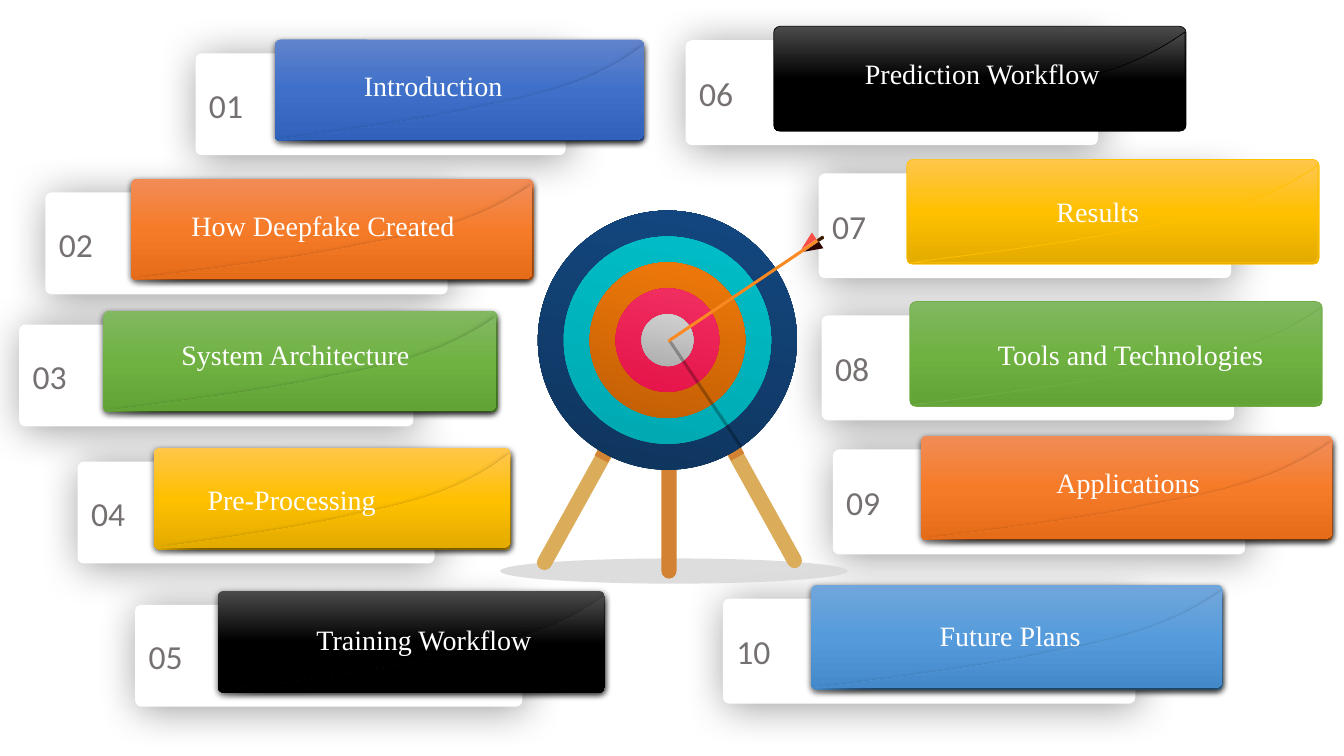
from lxml import etree
from pptx import Presentation
from pptx import util as u
from pptx.dml.color import RGBColor
from pptx.enum import shapes, text
from pptx.oxml.ns import qn

WHITE = RGBColor(0xFF, 0xFF, 0xFF)
BLACK = RGBColor(0x00, 0x00, 0x00)
GREY = RGBColor(0x76, 0x71, 0x71)
FLOOR = RGBColor(0xD9, 0xD9, 0xD9)
WOOD = RGBColor(0xDB, 0xAD, 0x5B)
DARK_WOOD = RGBColor(0xD2, 0x82, 0x32)
ARROW = RGBColor(0xFB, 0x89, 0x22)
RED_FEATHER = RGBColor(0xF8, 0x4E, 0x43)
DARK_FEATHER = RGBColor(0x2C, 0x05, 0x02)
NOCK = RGBColor(0x3D, 0x1E, 0x01)
GOLD_LINE = RGBColor(0xFF, 0xC0, 0x00)
GREEN_LINE = RGBColor(0x70, 0xAD, 0x47)


def shades(*codes):
    return [RGBColor.from_string(code) for code in codes]


BLUE = shades("6183CB", "3E70CA", "3062BB")
ORANGE = shades("F18C57", "F67B28", "E56C19")
GREEN = shades("81B861", "6FB242", "62A336")
GOLD = shades("FFC64B", "FFC000", "E3AB00")
INK = shades("4B4B4B", "000000", "000000")
SKY = shades("71A6DB", "559BDB", "448ACA")

# label, label box (left, top, width), card (left, top, width, height), colours, outline
TOPICS = [
    ("Introduction", (3.51, 0.63, 2.78), (1.94, 0.53, 3.67, 1.01), BLUE, None),
    ("How Deepfake Created", (1.8, 2.02, 3.28), (0.45, 1.91, 3.99, 1.01), ORANGE, None),
    ("System Architecture", (1.7, 3.3, 2.96), (0.19, 3.22, 3.91, 1.01), GREEN, None),
    ("Pre-Processing", (1.96, 4.74, 3.79), (0.77, 4.58, 3.54, 1.01), GOLD, None),
    ("Training Workflow", (3.04, 6.13, 3.36), (1.34, 6.0, 3.84, 1.01), INK, None),
    ("Prediction Workflow", (8.48, 0.51, 3.8), (6.8, 0.4, 4.09, 1.04), INK, BLACK),
    ("Results", (10.38, 1.88, 3.82), (8.12, 1.72, 4.09, 1.04), GOLD, GOLD_LINE),
    ("Tools and Technologies", (9.8, 3.3, 4.2), (8.15, 3.13, 4.09, 1.04), GREEN, GREEN_LINE),
    ("Applications", (10.38, 4.57, 3.1), (8.26, 4.46, 4.09, 1.04), ORANGE, None),
    ("Future Plans", (9.22, 6.09, 3.1), (7.17, 5.94, 4.09, 1.04), SKY, None),
]
LOOSE_LABELS = ("Pre-Processing", "Tools and Technologies")
RINGS = [shades("0D3055", "154C89"), shades("00A4AC", "00C2CC"), shades("B85A04", "FA7E0A"),
         shades("E20D43", "F33567"), shades("A6A6A6", "D9D9D9")]
CENTRE = (6.62, 3.375)
RING_STEP = 0.514

KIND = shapes.MSO_SHAPE
STAND = [
    (KIND.OVAL, (4.96, 5.54, 3.45, 0.25), 0, FLOOR, 88),
    (KIND.ROUNDED_RECTANGLE, (7.48, 4.23, 0.15, 1.49), 331, WOOD, 100),
    (KIND.RECTANGLE, (7.22, 4.45, 0.15, 0.09), 331, DARK_WOOD, 94),
    (KIND.ROUNDED_RECTANGLE, (6.56, 4.25, 0.15, 1.49), 0, DARK_WOOD, 100),
    (KIND.ROUNDED_RECTANGLE, (5.65, 4.25, 0.15, 1.49), 29, WOOD, 100),
    (KIND.RECTANGLE, (5.91, 4.47, 0.15, 0.09), 29, DARK_WOOD, 94),
]
DART = [
    (KIND.ROUNDED_RECTANGLE, (6.98, 3.26, 0.03, 1.29), 326, BLACK, 28),
    (KIND.ISOSCELES_TRIANGLE, (7.96, 2.3, 0.08, 0.18), 236, RED_FEATHER, 100),
    (KIND.ISOSCELES_TRIANGLE, (8.03, 2.39, 0.08, 0.18), 56, DARK_FEATHER, 100),
    (KIND.ROUNDED_RECTANGLE, (7.37, 1.96, 0.03, 1.83), 56, ARROW, 100),
]
NOCK_OUTLINE = [(8.1, 2.38), (8.15, 2.34), (8.16, 2.34), (8.17, 2.34), (8.17, 2.35),
                (8.18, 2.36), (8.17, 2.37), (8.17, 2.37), (8.12, 2.4)]
NOCK_MOVES = "LCCL"
GLOSS_OUTLINE = [(1, 0), (1, 0.94), (1, 0.97), (0.99, 1), (0.98, 1), (0, 1),
                 (0.1, 0.94), (0.4, 0.8), (0.58, 0.63), (0.78, 0.49), (0.9, 0.3), (1, 0)]
GLOSS_MOVES = "LCLCC"
CARD_SHADOW = (40, 30, 3, 45)
BAR_SHADOW = (63, 4.5, 1.5, 90)


def set_alpha(color_element, percent):
    etree.SubElement(color_element, qn("a:alpha"), val=str(percent * 1000))


def paint(shape, colors, angle=270, outline=None, shadow=None):
    shape.shadow.inherit = False
    properties = shape._element.spPr
    if isinstance(colors, list):
        shape.fill.gradient()
        shape.fill.gradient_angle = angle
        stops = properties.find(qn("a:gradFill")).find(qn("a:gsLst"))
        for stop in list(stops):
            stops.remove(stop)
        for index, color in enumerate(colors):
            position = index * 100000 // (len(colors) - 1)
            stop = etree.SubElement(stops, qn("a:gs"), pos=str(position))
            etree.SubElement(stop, qn("a:srgbClr"), val=str(color))
    else:
        shape.fill.solid()
        shape.fill.fore_color.rgb = colors
    if outline is None:
        shape.line.fill.background()
    else:
        shape.line.color.rgb = outline
        shape.line.width = u.Pt(0.5)
    if shadow:
        alpha, blur, distance, direction = shadow
        effect = etree.SubElement(
            properties.find(qn("a:effectLst")), qn("a:outerShdw"),
            blurRad=str(u.Pt(blur)), dist=str(u.Pt(distance)),
            dir=str(direction * 60000), algn="ctr", rotWithShape="0")
        set_alpha(etree.SubElement(effect, qn("a:srgbClr"), val=str(BLACK)), alpha)


def add_shape(group, kind, frame, rounding=None):
    shape = group.shapes.add_shape(kind, *(u.Inches(v) for v in frame))
    if rounding is not None:
        shape.adjustments[0] = rounding
    return shape


def add_outline(group, points, moves):
    corners = [(u.Inches(x), u.Inches(y)) for x, y in points]
    builder = group.shapes.build_freeform(*corners[0])
    builder.add_line_segments(corners[1:], close=False)
    shape = builder.convert_to_shape()
    trace = next(shape._element.iter(qn("a:path")))
    lines = iter(trace.findall(qn("a:lnTo")))
    for move in moves:
        line = next(lines)
        if move == "C":
            curve = etree.Element(qn("a:cubicBezTo"))
            line.addprevious(curve)
            for control in (line, next(lines), next(lines)):
                curve.append(control[0])
                trace.remove(control)
    etree.SubElement(trace, qn("a:close"))
    return shape


def add_text(parent, words, frame, font, size, color):
    box = parent.shapes.add_textbox(*(u.Inches(v) for v in frame))
    box.text_frame.word_wrap = True
    box.text_frame.auto_size = text.MSO_AUTO_SIZE.SHAPE_TO_FIT_TEXT
    span = box.text_frame.paragraphs[0].add_run()
    span.text = words
    span.font.name = font
    span.font.size = u.Pt(size)
    span.font.color.rgb = color


def add_topic(page, number, label, label_at, card, colors, outline):
    left, top, width, height = card
    shift = 0.2135 * width
    bar_left, bar_top = left + shift, top - 0.138
    shadow = None if outline is not None else BAR_SHADOW
    group = page.shapes.add_group_shape()
    paint(add_shape(group, KIND.ROUNDED_RECTANGLE, card, 0.06), WHITE, shadow=CARD_SHADOW)
    bar = add_shape(group, KIND.ROUNDED_RECTANGLE, (bar_left, bar_top, width, height), 0.06)
    paint(bar, colors, outline=outline, shadow=shadow)
    gloss = [(bar_left + 0.04 + x * (width - 0.05), bar_top + 0.055 + y * (height - 0.07))
             for x, y in GLOSS_OUTLINE]
    paint(add_outline(group, gloss, GLOSS_MOVES), colors, outline=outline, shadow=shadow)
    number_top = top + 0.26 * height
    add_text(group, f"{number:02}", (left + 0.035, number_top, shift, 0.5), "Calibri", 24, GREY)
    parent = page if label in LOOSE_LABELS else group
    add_text(parent, label, (*label_at, 0.44), "Times New Roman", 20, WHITE)


def add_parts(group, parts):
    for kind, frame, rotation, color, alpha in parts:
        rounding = {KIND.ROUNDED_RECTANGLE: 0.5, KIND.ISOSCELES_TRIANGLE: 0}.get(kind)
        part = add_shape(group, kind, frame, rounding)
        part.rotation = rotation
        paint(part, color)
        if alpha < 100:
            fill = part._element.spPr.find(qn("a:solidFill"))
            set_alpha(fill[0], alpha)
        if color == DARK_FEATHER:
            part._element.spPr.find(qn("a:xfrm")).set("flipV", "1")


def add_target(page):
    group = page.shapes.add_group_shape()
    add_parts(group, STAND)
    for index, colors in enumerate(RINGS):
        size = RING_STEP * (len(RINGS) - index)
        ring = add_shape(group, KIND.OVAL, (CENTRE[0] - size / 2, CENTRE[1] - size / 2, size, size))
        ring.rotation = 326
        paint(ring, colors, angle=45)
    add_parts(group, DART)
    paint(add_outline(group, NOCK_OUTLINE, NOCK_MOVES), NOCK)


def main():
    deck = Presentation()
    deck.slide_width, deck.slide_height = u.Inches(13.33), u.Inches(7.5)
    page = deck.slides.add_slide(deck.slide_layouts[6])
    for number, topic in enumerate(TOPICS, 1):
        add_topic(page, number, *topic)
    add_target(page)
    deck.save("out.pptx")


if __name__ == "__main__":
    main()
